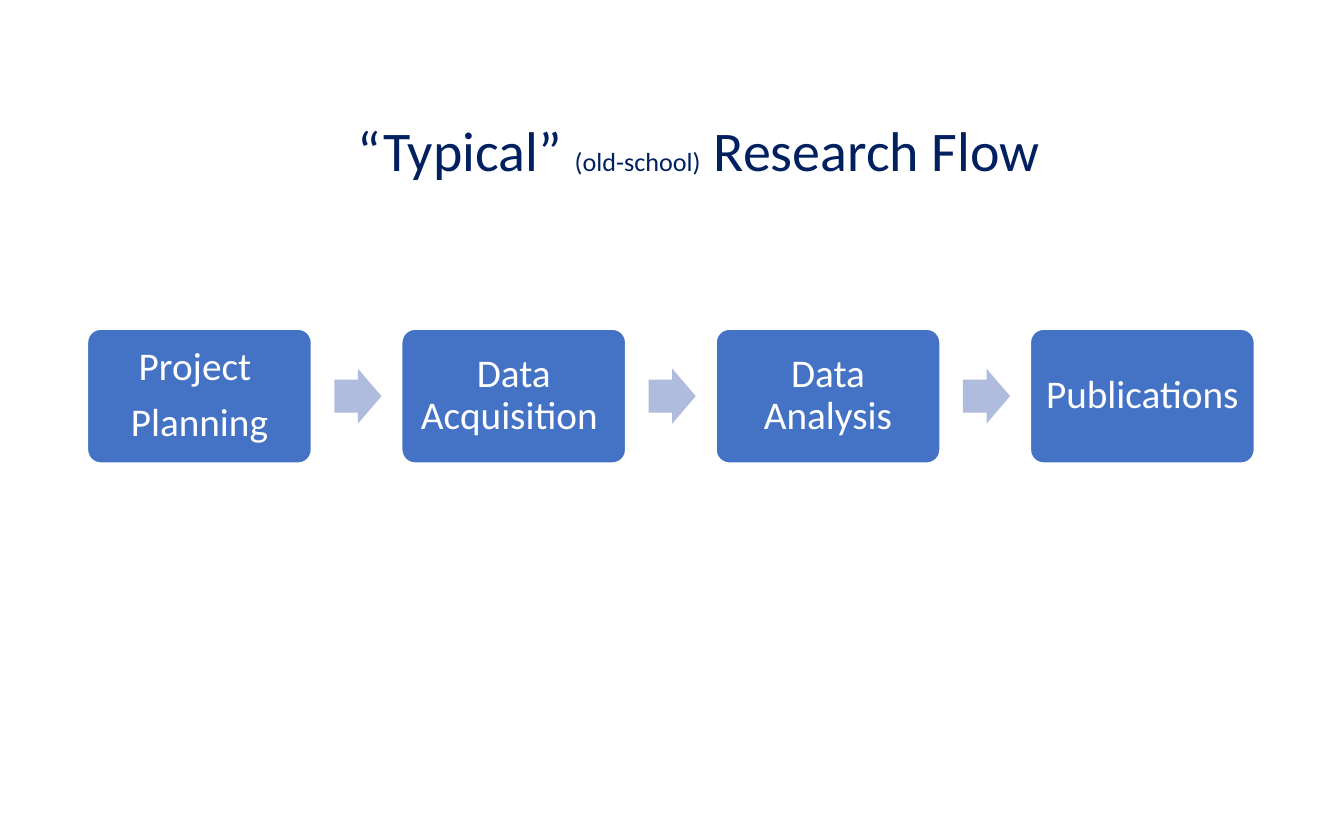
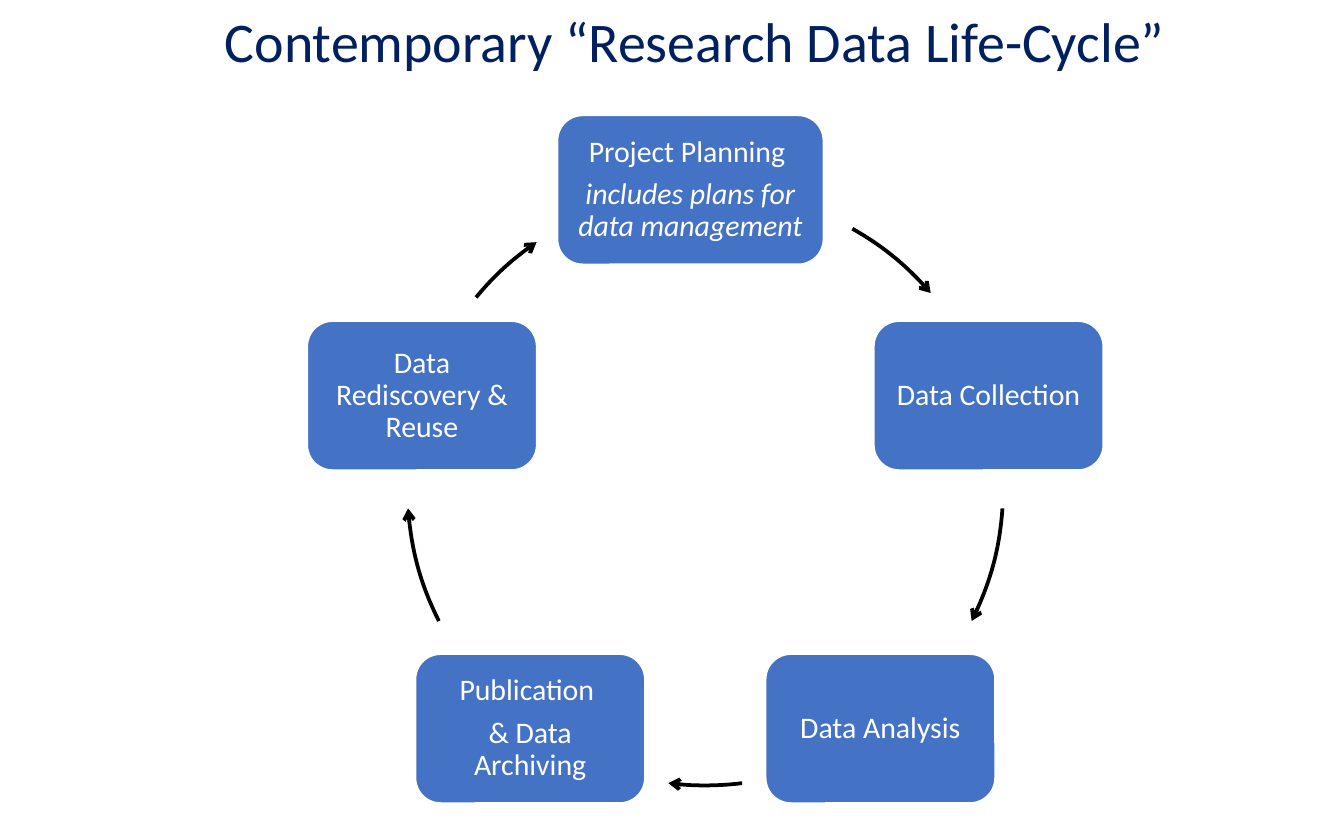
import math

from pptx import Presentation, util as u
from pptx.dml.color import RGBColor
from pptx.enum import shapes, text
from pptx.oxml import parse_xml
from pptx.oxml.ns import nsdecls, qn

FONT = "Calibri"
NAVY = RGBColor(0x00, 0x20, 0x60)
BLUE = RGBColor(0x44, 0x72, 0xC4)
PALE_BLUE = RGBColor(0xB0, 0xBC, 0xDE)
WHITE = RGBColor(0xFF, 0xFF, 0xFF)
BLACK = RGBColor(0x00, 0x00, 0x00)

FLOW_TITLE = [("“Typical” ", 30), ("(old-school)", 14), (" Research Flow", 30)]
FLOW_STEPS = [
    ["Project ", "Planning"],
    ["Data Acquisition "],
    ["Data Analysis"],
    ["Publications"],
]

CYCLE_TITLE = [("Contemporary “Research Data Life-Cycle”", 30)]
CYCLE_STAGES = [
    {"lines": ["Project Planning ", "includes plans for data management"],
     "italic_line": 1, "width": 5.03, "shift": -0.28, "arc": (299.6, 319.2)},
    {"lines": ["Data Collection"], "arc": (4, 26.6)},
    {"lines": ["Data Analysis"], "arc": (82.9, 97.1)},
    {"lines": ["Publication ", "& Data Archiving"], "arc": (153.4, 176)},
    {"lines": ["Data Rediscovery & Reuse"], "arc": (219.7, 235.5)},
]

STEP_WIDTH, STEP_HEIGHT = 4.24, 2.54
STEP_LEFT, STEP_TOP, STEP_PITCH = 1.65, 6.22, 5.94
ARROW_WIDTH, ARROW_HEIGHT, ARROW_OFFSET = 0.89, 1.04, 4.67

STAGE_WIDTH, STAGE_HEIGHT = 4.34, 2.82
CYCLE_X, CYCLE_Y, CYCLE_RADIUS = 13.33, 9.22, 5.63


def add_preset(slide, kind, left, top, width, height):
    shape = slide.shapes.add_shape(
        kind, u.Cm(left), u.Cm(top), u.Cm(width), u.Cm(height))
    shape.shadow.inherit = False
    return shape


def style_paragraph(paragraph, size, color):
    paragraph.alignment = text.PP_ALIGN.CENTER
    paragraph.font.name = FONT
    paragraph.font.size = u.Pt(size)
    paragraph.font.color.rgb = color


def add_title(slide, runs, left, top, width, wrap):
    box = slide.shapes.add_textbox(
        u.Cm(left), u.Cm(top), u.Cm(width), u.Cm(1.55))
    frame = box.text_frame
    frame.word_wrap = wrap
    frame.auto_size = text.MSO_AUTO_SIZE.SHAPE_TO_FIT_TEXT
    paragraph = frame.paragraphs[0]
    style_paragraph(paragraph, runs[0][1], NAVY)
    for words, size in runs:
        run = paragraph.add_run()
        run.text = words
        run.font.size = u.Pt(size)


def add_box(slide, lines, left, top, width, height, corner, size, inset,
            italic_line=None):
    box = add_preset(slide, shapes.MSO_SHAPE.ROUNDED_RECTANGLE,
                     left, top, width, height)
    box.adjustments[0] = corner
    box.fill.solid()
    box.fill.fore_color.rgb = BLUE
    box.line.color.rgb = WHITE
    box.line.width = u.Pt(1)
    frame = box.text_frame
    frame.word_wrap = True
    frame.vertical_anchor = text.MSO_ANCHOR.MIDDLE
    frame.margin_left = frame.margin_right = u.Cm(inset)
    frame.margin_top = frame.margin_bottom = u.Cm(inset)
    frame.text = "\n".join(lines)
    for index, paragraph in enumerate(frame.paragraphs):
        style_paragraph(paragraph, size, WHITE)
        paragraph.line_spacing = 0.9
        paragraph.font.italic = index == italic_line
        if index < len(lines) - 1:
            paragraph.space_after = u.Pt(0.35 * size)


def add_flow_arrow(slide, left):
    top = STEP_TOP + (STEP_HEIGHT - ARROW_HEIGHT) / 2
    arrow = add_preset(slide, shapes.MSO_SHAPE.RIGHT_ARROW,
                       left, top, ARROW_WIDTH, ARROW_HEIGHT)
    arrow.adjustments[0] = 0.6
    arrow.adjustments[1] = 0.5
    arrow.fill.solid()
    arrow.fill.fore_color.rgb = PALE_BLUE
    arrow.line.fill.background()


def add_cycle_arrow(slide, angles):
    arc = add_preset(slide, shapes.MSO_SHAPE.ARC,
                     CYCLE_X - CYCLE_RADIUS, CYCLE_Y - CYCLE_RADIUS,
                     2 * CYCLE_RADIUS, 2 * CYCLE_RADIUS)
    for index, degrees in enumerate(angles):
        arc.adjustments[index] = degrees * 0.6
    arc.fill.background()
    arc.line.color.rgb = BLACK
    arc.line.width = u.Pt(2)
    outline = arc.element.spPr.find(qn("a:ln"))
    outline.append(parse_xml(f'<a:tailEnd {nsdecls("a")} type="arrow"/>'))


def build_flow(slide):
    for index, lines in enumerate(FLOW_STEPS):
        left = STEP_LEFT + index * STEP_PITCH
        add_box(slide, lines, left, STEP_TOP, STEP_WIDTH, STEP_HEIGHT,
                corner=0.1, size=21, inset=0.22)
        if index < len(FLOW_STEPS) - 1:
            add_flow_arrow(slide, left + ARROW_OFFSET)
    add_title(slide, FLOW_TITLE, 6.45, 2.06, 13.51, wrap=False)


def build_cycle(slide):
    for index, stage in enumerate(CYCLE_STAGES):
        angle = math.tau * index / len(CYCLE_STAGES)
        width = stage.get("width", STAGE_WIDTH)
        center_x = (CYCLE_X + CYCLE_RADIUS * math.sin(angle)
                    + stage.get("shift", 0))
        center_y = CYCLE_Y - CYCLE_RADIUS * math.cos(angle)
        add_box(slide, stage["lines"], center_x - width / 2,
                center_y - STAGE_HEIGHT / 2, width, STAGE_HEIGHT,
                corner=0.17, size=16, inset=0.17,
                italic_line=stage.get("italic_line"))
        add_cycle_arrow(slide, stage["arc"])
    add_title(slide, CYCLE_TITLE, 2.95, 0, 20.37, wrap=True)


def main():
    presentation = Presentation()
    presentation.slide_width = u.Cm(25.4)
    presentation.slide_height = u.Cm(15.88)
    blank = presentation.slide_layouts[6]
    for build in (build_flow, build_cycle):
        build(presentation.slides.add_slide(blank))
    presentation.save("out.pptx")


if __name__ == "__main__":
    main()
